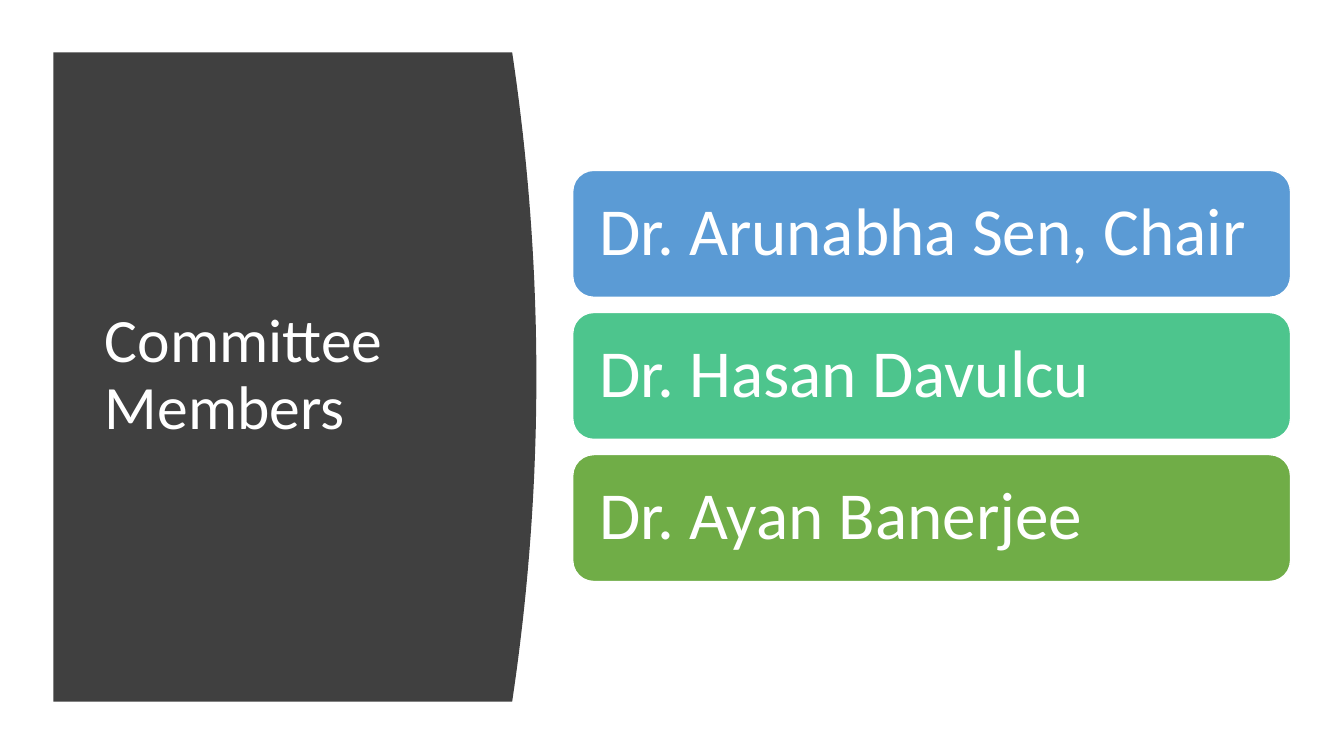
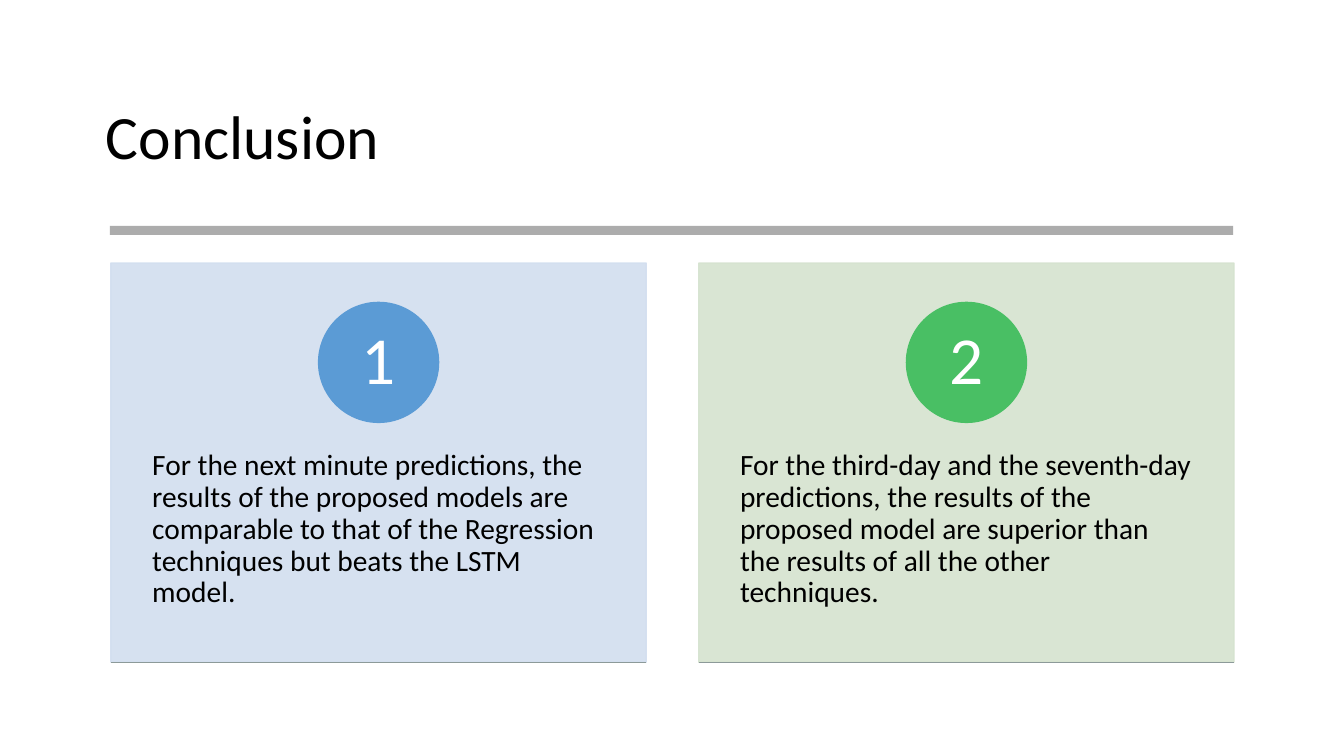
"""Build the committee and conclusion slides."""

from dataclasses import dataclass

import pptx
import pptx.dml.color
import pptx.enum.shapes
import pptx.enum.text
import pptx.oxml.ns
import pptx.oxml.xmlchemy
import pptx.presentation
import pptx.shapes.autoshape
import pptx.slide
import pptx.util

RGBColor = pptx.dml.color.RGBColor
Kind = pptx.enum.shapes.MSO_SHAPE
Anchor = pptx.enum.text.MSO_ANCHOR
Align = pptx.enum.text.PP_ALIGN
Box = tuple[int, int, int, int]

PX = 9144
FONT = "Calibri"
WHITE = RGBColor(0xFF, 0xFF, 0xFF)
BLACK = RGBColor(0x00, 0x00, 0x00)
CHARCOAL = RGBColor(0x40, 0x40, 0x40)
GRAY = RGBColor(0x80, 0x80, 0x80)
BASELINE_GRAY = RGBColor(0x8C, 0x9A, 0x99)
BLUE = RGBColor(0x5B, 0x9B, 0xD5)
TEAL = RGBColor(0x4D, 0xC5, 0x8D)
GREEN = RGBColor(0x70, 0xAD, 0x47)
EMERALD = RGBColor(0x49, 0xBF, 0x64)
PALE_BLUE = RGBColor(0xD2, 0xDE, 0xEF)
PALE_GREEN = RGBColor(0xD5, 0xE3, 0xCF)


@dataclass(frozen=True)
class Member:
    name: str
    color: RGBColor


@dataclass(frozen=True)
class Finding:
    text: str
    card_color: RGBColor
    badge_color: RGBColor


MEMBERS = (
    Member("Dr. Arunabha Sen, Chair", BLUE),
    Member("Dr. Hasan Davulcu", TEAL),
    Member("Dr. Ayan Banerjee", GREEN),
)
FINDINGS = (
    Finding(
        "For the next minute predictions, the results of the proposed models are "
        "comparable to that of the Regression techniques but beats the LSTM model.",
        PALE_BLUE,
        BLUE,
    ),
    Finding(
        "For the third-day and the seventh-day predictions, the results of the "
        "proposed model are superior than the results of all the other techniques.",
        PALE_GREEN,
        EMERALD,
    ),
)


def px(length: float) -> int:
    return pptx.util.Emu(round(length * PX))


def write(
    shape: pptx.shapes.autoshape.Shape,
    text: str,
    size: int,
    color: RGBColor,
    insets: Box,
    anchor: Anchor = Anchor.MIDDLE,
    align: Align = Align.LEFT,
) -> None:
    frame = shape.text_frame
    frame.word_wrap = True
    frame.auto_size = pptx.enum.text.MSO_AUTO_SIZE.NONE
    frame.vertical_anchor = anchor
    frame.margin_left, frame.margin_top, frame.margin_right, frame.margin_bottom = map(px, insets)
    paragraph = frame.paragraphs[0]
    paragraph.alignment = align
    paragraph.line_spacing = 0.9
    paragraph.space_before = pptx.util.Pt(0)
    run = paragraph.add_run()
    run.text = text
    run.font.name = FONT
    run.font.size = pptx.util.Pt(size)
    run.font.color.rgb = color


def paint(
    shape: pptx.shapes.autoshape.Shape,
    fill: RGBColor,
    line: RGBColor | None = None,
    opacity: int = 100,
) -> None:
    shape.shadow.inherit = False
    shape.fill.solid()
    shape.fill.fore_color.rgb = fill
    if line is None:
        shape.line.fill.background()
    else:
        shape.line.color.rgb = line
        shape.line.width = pptx.util.Pt(1)
    if opacity < 100:
        for color in shape.element.spPr.iter(pptx.oxml.ns.qn("a:srgbClr")):
            alpha = pptx.oxml.xmlchemy.OxmlElement("a:alpha")
            alpha.set("val", str(opacity * 1000))
            color.append(alpha)


def add_shape(slide: pptx.slide.Slide, kind: Kind, box: Box) -> pptx.shapes.autoshape.Shape:
    return slide.shapes.add_shape(kind, *map(px, box))


def add_titled_slide(
    presentation: pptx.presentation.Presentation, text: str, box: Box, color: RGBColor
) -> pptx.slide.Slide:
    slide = presentation.slides.add_slide(presentation.slide_layouts[5])
    title = slide.shapes.title
    title.left, title.top, title.width, title.height = map(px, box)
    write(title, text, 44, color, (10, 5, 10, 5))
    return slide


def add_curved_panel(slide: pptx.slide.Slide) -> None:
    left, top, right, bulge, steps = 53, 52, 508, 24, 40
    height = 644
    edge = [
        (right + bulge * (1 - (2 * step / steps - 1) ** 2), top + height * step / steps)
        for step in range(steps + 1)
    ]
    builder = slide.shapes.build_freeform(px(left), px(top), scale=1.0)
    builder.add_line_segments(
        [(px(x), px(y)) for x, y in edge] + [(px(left), px(top + height))], close=True
    )
    panel = builder.convert_to_shape()
    paint(panel, CHARCOAL)
    slide.shapes.title.element.addprevious(panel.element)


def add_committee(presentation: pptx.presentation.Presentation) -> None:
    slide = add_titled_slide(presentation, "Committee Members", (94, 111, 374, 524), WHITE)
    add_curved_panel(slide)
    for index, member in enumerate(MEMBERS):
        bar = add_shape(slide, Kind.ROUNDED_RECTANGLE, (568, 169 + index * 141, 712, 126))
        paint(bar, member.color, WHITE)
        write(bar, member.name, 48, WHITE, (20, 20, 20, 20))


def add_finding(slide: pptx.slide.Slide, number: int, finding: Finding) -> None:
    width, height, top, badge_size = 531, 396, 261, 119
    left = 110 + (number - 1) * 583
    bottom = top + height
    card = add_shape(slide, Kind.RECTANGLE, (left, top, width, height))
    paint(card, finding.card_color, finding.card_color, opacity=90)
    write(card, finding.text, 21, BLACK, (41, 186, 41, 36), Anchor.TOP)

    badge_left = left + (width - badge_size) // 2
    badge = add_shape(slide, Kind.OVAL, (badge_left, 300, badge_size, badge_size))
    paint(badge, finding.badge_color, finding.badge_color)
    write(badge, str(number), 48, WHITE, (9, 1, 9, 1), align=Align.CENTER)

    baseline = slide.shapes.add_connector(
        pptx.enum.shapes.MSO_CONNECTOR.STRAIGHT,
        px(left), px(bottom), px(left + width), px(bottom),
    )
    baseline.line.color.rgb = BASELINE_GRAY
    baseline.line.width = pptx.util.Pt(0.75)
    baseline.element.spPr.append(pptx.oxml.xmlchemy.OxmlElement("a:effectLst"))


def add_conclusion(presentation: pptx.presentation.Presentation) -> None:
    slide = add_titled_slide(presentation, "Conclusion", (95, 66, 1143, 145), BLACK)
    divider = add_shape(slide, Kind.RECTANGLE, (109, 224, 1114, 9))
    paint(divider, GRAY, opacity=65)
    for number, finding in enumerate(FINDINGS, start=1):
        add_finding(slide, number, finding)


def main() -> None:
    presentation = pptx.Presentation()
    presentation.slide_width = pptx.util.Inches(13.33)
    presentation.slide_height = pptx.util.Inches(7.5)
    add_committee(presentation)
    add_conclusion(presentation)
    presentation.save("out.pptx")


if __name__ == "__main__":
    main()
